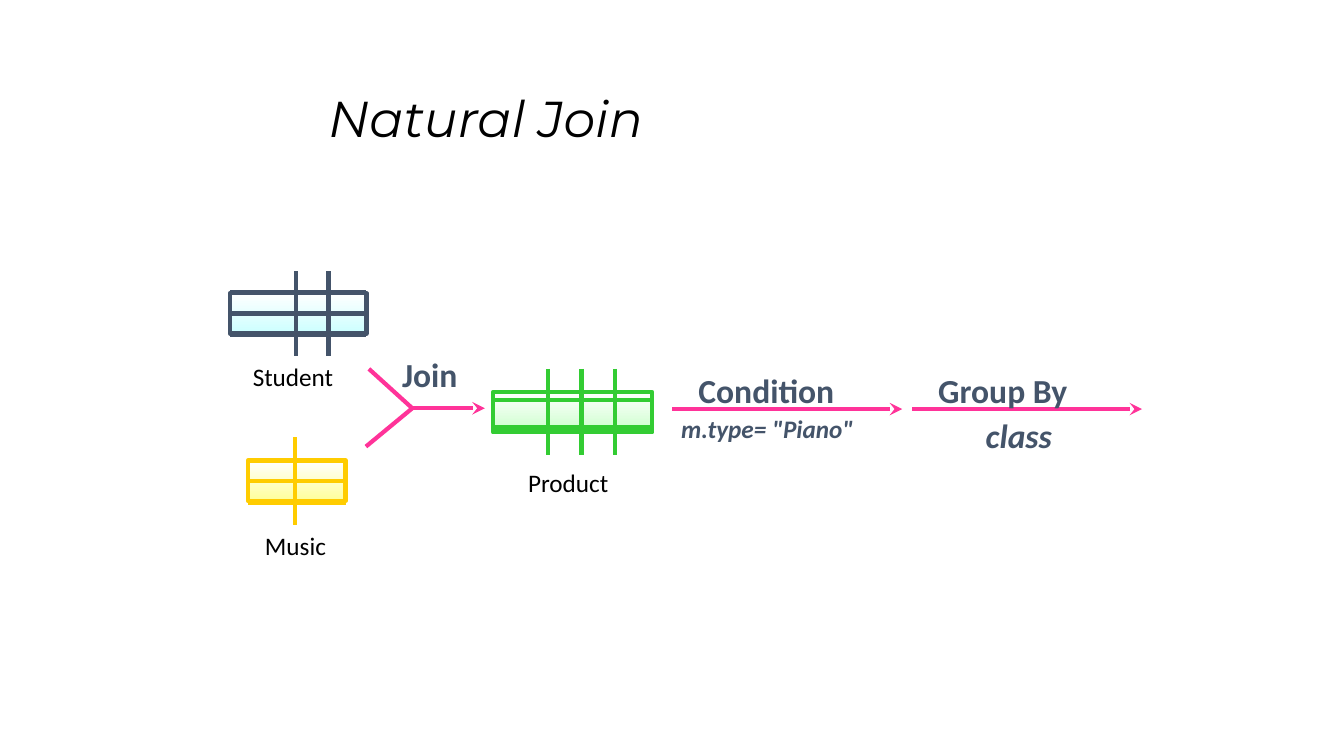
from dataclasses import dataclass
from typing import Optional

from lxml.etree import SubElement
from pptx import Presentation
from pptx.dml.color import RGBColor
from pptx.enum.shapes import MSO_CONNECTOR, MSO_SHAPE
from pptx.enum.text import MSO_ANCHOR
from pptx.oxml.ns import qn
from pptx.util import Pt


@dataclass(frozen=True)
class Theme:
    ink: str = "000000"
    slate: str = "44546A"
    pink: str = "FF3399"
    gold: str = "FFCC00"
    green: str = "33CC33"
    white: str = "FFFFFF"
    cream: str = "FFFF99"
    aqua: str = "CCFFFF"
    mint: str = "CCFFCC"
    face: str = "Calibri"
    head: str = "Montserrat"
    title: int = 36
    large: int = 24
    small: int = 18
    line: int = 3


@dataclass(frozen=True)
class Label:
    text: str
    left: float
    top: float
    width: float
    height: float
    size: int
    color: str
    bold: bool = False
    italic: bool = False
    face: str = Theme.face
    anchor: MSO_ANCHOR = MSO_ANCHOR.TOP


@dataclass(frozen=True)
class Grid:
    """A small table: box, row lines at y, column lines at x."""
    left: float
    top: float
    width: float
    rows: tuple
    cols: tuple
    rise: float  # top and bottom of the column lines
    fall: float
    color: str
    tint: str
    height: float = 28.8


@dataclass(frozen=True)
class Line:
    x1: float
    y1: float
    x2: float
    y2: float
    color: str
    arrow: bool = False


THEME = Theme()
AXIS = 292.2  # height of the step arrows

GRIDS = [
    Grid(177.1, 329, 69.8, (329, 343.4, 359.3), (211,),
         312.5, 375.1, THEME.gold, THEME.cream),
    Grid(164.2, 209.5, 97.6, (208.8, 223.9, 239), (211.7, 234.7),
         193.7, 254.2, THEME.slate, THEME.aqua),
    Grid(352.1, 280.1, 113.8, (285.8, 305.3), (391.7, 415.4, 439.2),
         263.5, 324.7, THEME.green, THEME.mint),
]

FLOWS = [
    Line(263.5, 263.5, 294.5, 291.6, THEME.pink),
    Line(261.4, 319, 294.5, 291.6, THEME.pink),
    Line(294.5, 291.6, 346.3, 291.6, THEME.pink, True),
    Line(480.2, AXIS, 644.4, AXIS, THEME.pink, True),
    Line(651.6, AXIS, 815.8, AXIS, THEME.pink, True),
]

LABELS = [
    Label("Natural Join", 227.5, 19.4, 612, 90, THEME.title, THEME.ink,
          italic=True, face=THEME.head, anchor=MSO_ANCHOR.BOTTOM),
    Label("Music", 182.2, 375.1, 84.2, 28.8, THEME.small, THEME.ink),
    Label("Student", 173.5, 254.2, 84.2, 28.8, THEME.small, THEME.ink),
    Label("Product", 370.1, 330.5, 85.7, 28.8, THEME.small, THEME.ink),
    Label("Join", 280.1, 249.1, 61.2, 36, THEME.large, THEME.slate, True),
    Label("Condition", 491.8, 260.6, 122.4, 36, THEME.large, THEME.slate, True),
    Label('m.type= "Piano"', 479.5, 291.6, 149, 28.8, THEME.small,
          THEME.slate, True, True),
    Label("Group By", 663.1, 260.6, 122.4, 36, THEME.large, THEME.slate, True),
    Label("class", 697, 293, 72.7, 36, THEME.large, THEME.slate, True, True),
]


def rgb(code: str) -> RGBColor:
    return RGBColor.from_string(code)


def draw_line(slide, line: Line, box: Optional[object] = None) -> None:
    """Draw a line; a given box is joined at its left and right sides."""
    link = slide.shapes.add_connector(
        MSO_CONNECTOR.STRAIGHT,
        Pt(line.x1), Pt(line.y1), Pt(line.x2), Pt(line.y2))
    if box is not None:
        link.begin_connect(box, 1)
        link.end_connect(box, 3)
    link.line.color.rgb = rgb(line.color)
    link.line.width = Pt(THEME.line)
    if line.arrow:
        SubElement(link.line._get_or_add_ln(), qn("a:tailEnd"), type="stealth")
    SubElement(link._element.spPr, qn("a:effectLst"))


def draw_grid(slide, grid: Grid) -> None:
    box = slide.shapes.add_shape(
        MSO_SHAPE.RECTANGLE, Pt(grid.left), Pt(grid.top),
        Pt(grid.width), Pt(grid.height))
    box.shadow.inherit = False
    box.fill.gradient()
    box.fill.gradient_angle = 270  # white at the top
    for stop, code in zip(box.fill.gradient_stops, (THEME.white, grid.tint)):
        stop.color.rgb = rgb(code)
    box.line.color.rgb = rgb(grid.color)
    box.line.width = Pt(THEME.line)

    middle = grid.top + grid.height / 2
    right = grid.left + grid.width
    for y in grid.rows:
        joined = box if abs(y - middle) < 0.1 else None
        draw_line(slide, Line(grid.left, y, right, y, grid.color), joined)
    for x in grid.cols:
        draw_line(slide, Line(x, grid.rise, x, grid.fall, grid.color))


def draw_label(slide, label: Label) -> None:
    box = slide.shapes.add_textbox(
        Pt(label.left), Pt(label.top), Pt(label.width), Pt(label.height))
    frame = box.text_frame
    frame.word_wrap = True
    frame.vertical_anchor = label.anchor
    para = frame.paragraphs[0]
    if label.size == THEME.title:
        para.line_spacing = 0.9
    run = para.add_run()
    run.text = label.text
    style = {"name": label.face, "size": Pt(label.size),
             "bold": label.bold, "italic": label.italic}
    for name, value in style.items():
        setattr(run.font, name, value)
    run.font.color.rgb = rgb(label.color)


def main() -> None:
    deck = Presentation()
    deck.slide_width, deck.slide_height = Pt(960), Pt(540)
    slide = deck.slides.add_slide(deck.slide_layouts[6])

    # Tables
    for grid in GRIDS:
        draw_grid(slide, grid)
    # Step arrows
    for flow in FLOWS:
        draw_line(slide, flow)
    # Title and captions
    for label in LABELS:
        draw_label(slide, label)

    deck.save("out.pptx")


if __name__ == "__main__":
    main()
